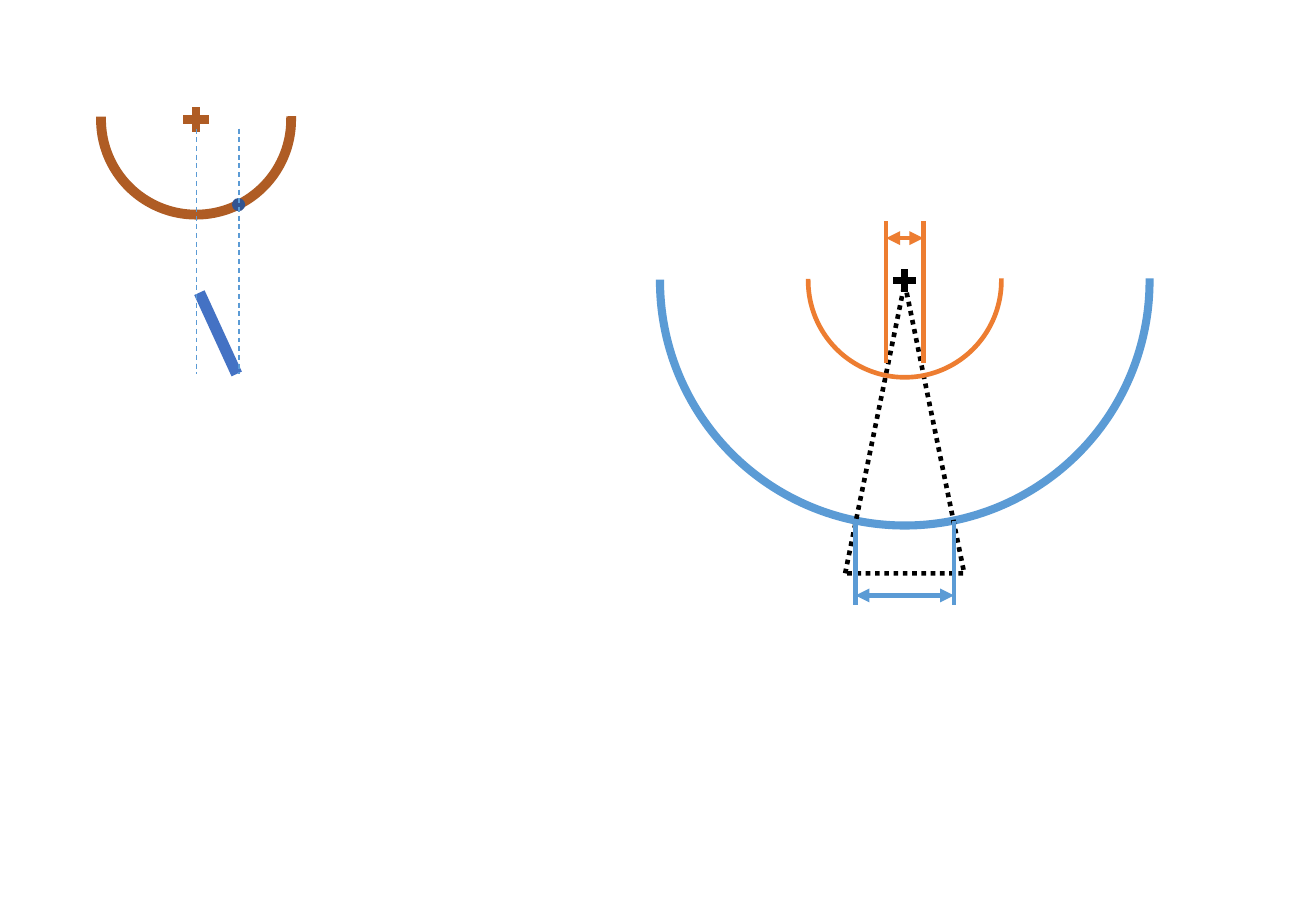
from lxml.etree import SubElement
from pptx import Presentation
from pptx.dml.color import RGBColor
from pptx.enum.dml import MSO_LINE
from pptx.enum.shapes import MSO_CONNECTOR, MSO_SHAPE
from pptx.oxml.ns import qn
from pptx.util import Cm, Pt

COLORS = {
    "orange": "ED7D31",
    "brown": "AF5C24",
    "blue": "4472C4",
    "navy": "325491",
    "sky": "5B9BD5",
    "black": "000000",
    "white": "FFFFFF",
}

SMALL_CENTER = (4.1, 2.5)
LARGE_CENTER = (18.92, 5.87)
PLUS_SIZE = 0.53
INNER_SIZE = 4.04
OUTER_SIZE = 10.31
PLUS_ADJUSTMENTS = [0.08]
DOT = {"center": (4.99, 4.28), "size": 0.13}
BAR = ((4.17, 6.12), (4.95, 7.82))
GUIDES = {"x": (4.11, 5.0), "top": 2.69, "bottom": 7.82}
BEAM = {"top": 5.92, "width": 2.49, "height": 6.07}
GAUGES = [
    {"color": "orange", "half": 0.39, "start": 7.59, "end": 4.62, "arrow": 4.98},
    {"color": "sky", "half": 1.03, "start": 10.9, "end": 12.65, "arrow": 12.45},
]
THICK = 2.75
OUTLINE = 4


def style_line(line, color, width, dash=None):
    line.color.rgb = RGBColor.from_string(COLORS[color])
    line.width = Pt(width)
    if dash:
        line.dash_style = dash


def add_centered(shapes, kind, center, width, height, fill, color, line_width,
                 adjustments=(), rotation=0, dash=None):
    x, y = center
    shape = shapes.add_shape(kind, Cm(x - width / 2), Cm(y - height / 2), Cm(width), Cm(height))
    shape.shadow.inherit = False
    shape.rotation = rotation
    for index, value in enumerate(adjustments):
        shape.adjustments[index] = value
    if fill:
        shape.fill.solid()
        shape.fill.fore_color.rgb = RGBColor.from_string(COLORS[fill])
    else:
        shape.fill.background()
    style_line(shape.line, color, line_width, dash)
    SubElement(shape.line._get_or_add_ln(), qn("a:miter"), lim="800000")


def add_plus(shapes, center, fill, color, width):
    add_centered(shapes, MSO_SHAPE.MATH_PLUS, center, PLUS_SIZE, PLUS_SIZE,
                 fill, color, width, PLUS_ADJUSTMENTS)


def add_arc(shapes, center, size, fill, color, width, thickness):
    add_centered(shapes, MSO_SHAPE.BLOCK_ARC, center, size, size,
                 fill, color, width, (108, 215.82, thickness), rotation=180)


def add_line(shapes, start, end, color, width, dash=None, arrows=False):
    points = [Cm(value) for value in (*start, *end)]
    connector = shapes.add_connector(MSO_CONNECTOR.STRAIGHT, *points)
    style_line(connector.line, color, width, dash)
    if arrows:
        for tag in ("a:headEnd", "a:tailEnd"):
            SubElement(connector.line._get_or_add_ln(), qn(tag), type="triangle")
    SubElement(connector._element.spPr, qn("a:effectLst"))


def add_gauge(shapes, gauge):
    left, right = (LARGE_CENTER[0] + side * gauge["half"] for side in (-1, 1))
    for x in (left, right):
        add_line(shapes, (x, gauge["start"]), (x, gauge["end"]), gauge["color"], THICK)
    add_line(shapes, (left, gauge["arrow"]), (right, gauge["arrow"]),
             gauge["color"], THICK, arrows=True)


def draw_small_diagram(slide):
    shapes = slide.shapes.add_group_shape().shapes
    add_plus(shapes, SMALL_CENTER, "orange", "brown", OUTLINE)
    add_arc(shapes, SMALL_CENTER, INNER_SIZE, "orange", "brown", OUTLINE, 0.016)
    add_centered(shapes, MSO_SHAPE.OVAL, DOT["center"], DOT["size"], DOT["size"],
                 "blue", "navy", OUTLINE)
    add_line(slide.shapes, *BAR, "blue", 6.75)
    for x in GUIDES["x"]:
        add_line(slide.shapes, (x, GUIDES["top"]), (x, GUIDES["bottom"]),
                 "sky", 0.75, MSO_LINE.DASH)


def draw_large_diagram(slide):
    shapes = slide.shapes.add_group_shape().shapes
    add_arc(shapes, LARGE_CENTER, OUTER_SIZE, "sky", "sky", THICK, 0.007)
    beam_center = (LARGE_CENTER[0], BEAM["top"] + BEAM["height"] / 2)
    add_centered(shapes, MSO_SHAPE.ISOSCELES_TRIANGLE, beam_center, BEAM["width"],
                 BEAM["height"], None, "black", THICK, dash=MSO_LINE.ROUND_DOT)
    add_plus(shapes, LARGE_CENTER, "white", "black", THICK)
    add_arc(shapes, LARGE_CENTER, INNER_SIZE, "orange", "orange", THICK, 0)
    for gauge in GAUGES:
        add_gauge(shapes, gauge)


def main():
    presentation = Presentation()
    presentation.slide_width = Cm(27.52)
    presentation.slide_height = Cm(19.05)
    slide = presentation.slides.add_slide(presentation.slide_layouts[6])
    draw_small_diagram(slide)
    draw_large_diagram(slide)
    presentation.save("out.pptx")


if __name__ == "__main__":
    main()
